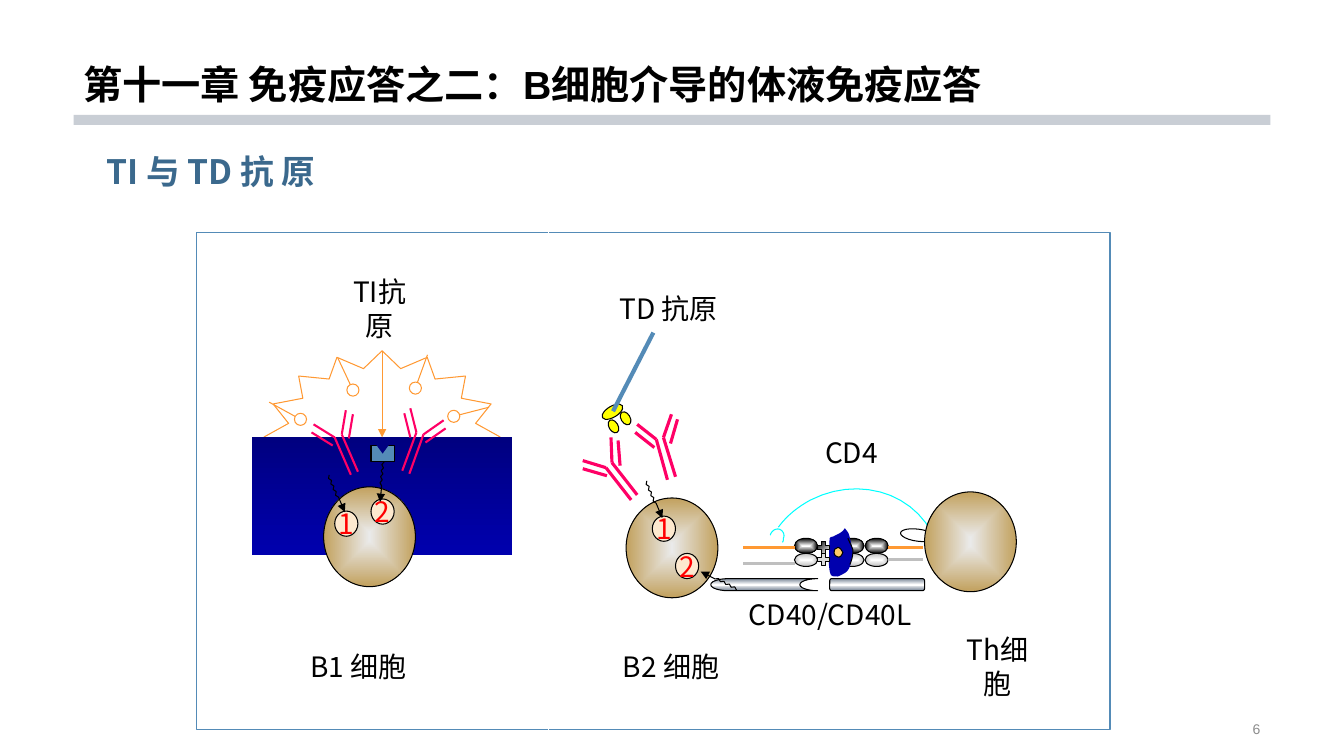
from math import cos, radians, sin
from typing import NamedTuple

from lxml.etree import SubElement
from pptx import Presentation
from pptx.dml.color import RGBColor
from pptx.enum.shapes import MSO_CONNECTOR, MSO_SHAPE
from pptx.enum.text import MSO_ANCHOR, MSO_AUTO_SIZE, PP_ALIGN
from pptx.oxml.ns import qn
from pptx.util import Pt

PX = 9144  # EMU per px, 100 px to the inch
CJK = "Noto Sans CJK SC"
COLORS = {
    "black": "000000", "white": "FFFFFF", "bar": "C9CED5", "number": "8C8C8C",
    "heading": "3B698D", "blue": "548BB7", "navy": "000080", "royal": "0000AE",
    "orange": "FF9933", "pink": "FF0066", "cyan": "00FFFF", "yellow": "FFFF00",
    "red": "FF0000", "cream": "FDE9CF", "peptide": "FFCC66", "silver": "BFBFBF",
    "plus": "DDDDDD", "cell": "EAEAEA", "cell_edge": "C2A15E", "steel": "778495",
}
Point = tuple[float, float]


class Gradient(NamedTuple):
    colors: tuple[str, ...]
    angle: int | None = None  # None: from the centre outwards


class Label(NamedTuple):
    text: str
    box: tuple[int, int, int, int]
    size: int = 20
    color: str = "black"
    font: str = CJK
    bold: bool = False
    align: PP_ALIGN = PP_ALIGN.CENTER
    anchor: MSO_ANCHOR = MSO_ANCHOR.MIDDLE
    wrap: bool = True
    margin: int = 11
    spacing: float = 1.0


class Chain(NamedTuple):
    """Half an antibody: heavy chain through its hinge, light chain beside it."""
    arm: Point
    hinge: Point
    stem: Point
    light_start: Point
    light_end: Point


STEEL_TUBE = Gradient(("steel", "white", "steel"), 90)
CELL = Gradient(("cell", "cell_edge"))
DOMAIN_ROWS = ((534, 15, Gradient(("white", "black"))),
               (549, 13, Gradient(("white", "silver"))))

LABELS = [
    Label("CD40/CD40L", (727, 587, 193, 44)),
    Label("B1 细胞", (296, 639, 119, 44)),
    Label("B2 细胞", (606, 639, 119, 44)),
    Label("Th细胞", (934, 639, 110, 44)),
    Label("TI抗原", (326, 284, 101, 44)),
    Label("TD 抗原", (602, 284, 122, 44)),
    Label("CD4", (806, 427, 77, 44)),
]
HEADINGS = [
    Label("第十一章 免疫应答之二：B细胞介导的体液免疫应答", (73, 0, 1187, 112), 28,
          font="Arial", bold=True, align=PP_ALIGN.LEFT,
          anchor=MSO_ANCHOR.BOTTOM, margin=10, spacing=0.9),
    Label("TI 与 TD 抗 原", (73, 139, 295, 61), 24, "heading", bold=True,
          align=PP_ALIGN.LEFT, wrap=False, margin=33),
    Label("6", (942, 712, 318, 23), 10, "number", "Arial",
          align=PP_ALIGN.RIGHT, margin=10),
]
THIN_CHAINS = [
    Chain((311, 421), (332, 434), (348, 471), (309, 429), (330, 442)),
    Chain((343, 407), (339, 431), (355, 468), (350, 411), (346, 435)),
    Chain((440, 417), (420, 431), (406, 470), (442, 425), (422, 439)),
    Chain((407, 405), (413, 429), (399, 467), (401, 410), (407, 434)),
]
THICK_CHAINS = [
    Chain((578, 457), (601, 464), (626, 496), (578, 465), (602, 472)),
    Chain((606, 434), (607, 459), (632, 491), (613, 437), (615, 462)),
    Chain((632, 421), (651, 436), (662, 476), (630, 429), (649, 444)),
    Chain((666, 411), (658, 434), (670, 473), (672, 416), (665, 440)),
]
FEELERS = [((267, 399), (298, 416)), ((335, 355), (350, 387)),
           ((424, 352), (412, 385)), ((485, 404), (450, 413))]
SIGNALS = [("1", 332, 507), ("2", 368, 495), ("1", 647, 512), ("2", 670, 549)]
SQUIGGLES = [((342, 508), -22.7), ((377, 498), 5.8), ((657, 514), -22.7), ((695, 567), 117.4)]
MHC_BLOB = [(838, 524), (840, 527), (842, 528), (843, 534), (844, 538), (846, 547),
            (846, 547), (843, 568), (841, 567), (831, 572), (829, 571), (826, 573),
            (824, 570), (822, 566), (822, 555), (822, 555), (823, 548), (822, 541),
            (823, 534), (824, 532), (825, 533), (827, 532), (830, 530), (835, 529),
            (838, 524)]
PEPTIDE = [(830, 552), (827, 551), (827, 548), (828, 545), (829, 544), (830, 544),
           (831, 543), (834, 544), (834, 545), (836, 548), (835, 551), (833, 554), (830, 552)]
CD4_ARC = [(924, 528), (902, 487), (849, 473), (804, 496), (791, 503), (780, 512), (772, 523)]
CD4_HOOK = [(764, 531), (765, 527), (769, 524), (773, 525), (776, 526), (779, 530),
            (777, 534), (777, 536), (777, 537), (776, 538)]
MHC_EDGE = [(841, 534), (843, 539), (845, 542), (846, 546), (846, 551), (845, 555), (843, 560)]

presentation = Presentation()
presentation.slide_width, presentation.slide_height = 1333 * PX, 750 * PX
slide = presentation.slides.add_slide(presentation.slide_layouts[6])
shapes = slide.shapes


def rgb(name: str) -> RGBColor:
    return RGBColor.from_string(COLORS[name])


def paint(shape, fill: str | Gradient | None, line: str | None, width: float = 0.75) -> None:
    shape.shadow.inherit = False
    if isinstance(fill, Gradient):
        shape.fill.background()
        empty = shape._element.spPr.find(qn("a:noFill"))
        gradient = empty.makeelement(qn("a:gradFill"), {"rotWithShape": "1"})
        stops = SubElement(gradient, qn("a:gsLst"))
        for index, name in enumerate(fill.colors):
            position = 100000 * index // (len(fill.colors) - 1)
            stop = SubElement(stops, qn("a:gs"), pos=str(position))
            SubElement(stop, qn("a:srgbClr"), val=COLORS[name])
        if fill.angle is None:
            centre = SubElement(gradient, qn("a:path"), {"path": "shape"})
            SubElement(centre, qn("a:fillToRect"), dict.fromkeys("ltrb", "50000"))
        else:
            SubElement(gradient, qn("a:lin"), ang=str(fill.angle * 60000), scaled="0")
        empty.getparent().replace(empty, gradient)
    elif fill:
        shape.fill.solid()
        shape.fill.fore_color.rgb = rgb(fill)
    else:
        shape.fill.background()
    if line:
        shape.line.color.rgb = rgb(line)
        shape.line.width = Pt(width)
    else:
        shape.line.fill.background()


def add_preset(kind, left, top, width, height, fill=None, line: str | None = "black",
               rotation: float = 0, adjust: float | None = None):
    shape = shapes.add_shape(kind, left * PX, top * PX, width * PX, height * PX)
    shape.rotation = rotation
    if adjust is not None:
        shape.adjustments[0] = adjust
    paint(shape, fill, line)
    return shape


def add_ellipse(left, top, width, height, fill=None, line="black", rotation: float = 0):
    return add_preset(MSO_SHAPE.OVAL, left, top, width, height, fill, line, rotation)


def add_line(start: Point, end: Point, color: str, width: float = 0.75):
    line = shapes.add_connector(MSO_CONNECTOR.STRAIGHT, *(v * PX for v in (*start, *end)))
    line.line.color.rgb = rgb(color)
    line.line.width = Pt(width)
    SubElement(line._element.spPr, qn("a:effectLst"))
    return line


def add_outline(points: list[Point], fill=None, line: str | None = "black", close=False):
    scaled = [(round(x * PX), round(y * PX)) for x, y in points]
    builder = shapes.build_freeform(*scaled[0], scale=1.0)
    builder.add_line_segments(scaled[1:], close=close)
    shape = builder.convert_to_shape()
    paint(shape, fill, line)
    return shape


def curve(knots: list[Point], steps: int = 12) -> list[Point]:
    """Points along a chain of cubic Bezier curves."""
    points = [knots[0]]
    for first in range(0, len(knots) - 1, 3):
        for step in range(1, steps + 1):
            t = step / steps
            weights = ((1 - t) ** 3, 3 * t * (1 - t) ** 2, 3 * t * t * (1 - t), t ** 3)
            pairs = list(zip(weights, knots[first:first + 4]))
            points.append((sum(w * x for w, (x, _) in pairs), sum(w * y for w, (_, y) in pairs)))
    return points


def add_arrowhead(shape, end: str) -> None:
    SubElement(shape.line._get_or_add_ln(), qn(f"a:{end}"), type="triangle")


def add_squiggle(tip: Point, angle: float) -> None:
    turn = radians(angle)
    local = [(0, 0)] + [(-2 * (i % 2), -16 - 3 * i) for i in range(9)]
    points = [(tip[0] + x * cos(turn) - y * sin(turn), tip[1] + x * sin(turn) + y * cos(turn))
              for x, y in local]
    add_arrowhead(add_outline(points), "headEnd")


def write(shape, label: Label) -> None:
    frame = shape.text_frame
    frame.text = label.text
    frame.word_wrap = label.wrap
    frame.auto_size = MSO_AUTO_SIZE.NONE
    frame.vertical_anchor = label.anchor
    frame.margin_left = frame.margin_right = label.margin * PX
    frame.margin_top = frame.margin_bottom = 5 * PX if label.margin else 0
    paragraph = frame.paragraphs[0]
    paragraph.alignment = label.align
    paragraph.line_spacing = label.spacing
    font = paragraph.runs[0].font
    font.size, font.bold, font.name = Pt(label.size), label.bold, label.font
    font.color.rgb = rgb(label.color)
    SubElement(font._element, qn("a:ea"), typeface=CJK)


def add_label(label: Label) -> None:
    write(shapes.add_textbox(*(v * PX for v in label.box)), label)


def add_domains(left: int) -> None:
    for top, height, fill in DOMAIN_ROWS:
        add_ellipse(left, top, 23, height, fill)


# Headings
add_preset(MSO_SHAPE.RECTANGLE, 73, 114, 1187, 10, "bar", None)
for heading in HEADINGS:
    add_label(heading)

# CD4 and CD40 bridge between the B2 and Th cells
add_ellipse(893, 525, 35, 12, rotation=7.5)
for knots in (CD4_ARC, CD4_HOOK):
    add_outline(curve(knots), line="cyan")
add_preset(MSO_SHAPE.FLOWCHART_STORED_DATA, 705, 574, 106, 12, STEEL_TUBE)
add_preset(MSO_SHAPE.ROUNDED_RECTANGLE, 823, 574, 94, 12, STEEL_TUBE, adjust=0.167)
for left, top in ((917, 488), (621, 494)):
    add_ellipse(left, top, 91, 99, CELL)

# MHC and T cell receptor
add_domains(834)
add_outline(curve(MHC_BLOB), "royal", None, close=True)
for left in (788, 858):
    add_domains(left)
add_outline(curve(MHC_EDGE))
for top, fill in ((537, Gradient(("black", "white"), 45)), (549, "plus")):
    add_preset(MSO_SHAPE.CROSS, 811, top, 12, 12, fill, adjust=0.333)
add_outline(curve(PEPTIDE), "peptide", close=True)
for start, end in ((881, 915), (737, 789)):
    add_line((start, 555 if start > 800 else 559), (end, 555 if start > 800 else 559), "silver", 2.25)
    add_line((start, 543), (end, 543), "orange", 2.25)

# TI antigen on the B1 membrane
add_preset(MSO_SHAPE.STAR_16_POINT, 262, 348, 234, 171, line="orange", adjust=0.404)
membrane = add_preset(MSO_SHAPE.RECTANGLE, 250, 434, 258, 117,
                      Gradient(("navy", "royal"), 90), None)
add_preset(MSO_SHAPE.RECTANGLE, 368, 442, 23, 16, "blue")
add_preset(MSO_SHAPE.ISOSCELES_TRIANGLE, 368, 434, 23, 16, "navy", None, rotation=180)
add_ellipse(321, 483, 91, 99, CELL)
for start, end in FEELERS:
    add_line(start, end, "orange")
    add_ellipse(end[0] - 6, end[1] - 6, 12, 12, "white", "orange")
antigen_arrow = add_line((379, 348), (379, 434), "orange")
antigen_arrow.end_connect(membrane, 0)
add_arrowhead(antigen_arrow, "tailEnd")

# Signals 1 and 2
for digit, left, top in SIGNALS:
    badge = add_ellipse(left, top, 23, 25, "cream")
    write(badge, Label(digit, (left, top, 23, 25), color="red", wrap=False, margin=0))
for tip, angle in SQUIGGLES:
    add_squiggle(tip, angle)

# Antibodies
for chains, width in ((THIN_CHAINS, 1.5), (THICK_CHAINS, 2.25)):
    for chain in chains:
        add_line(chain.arm, chain.hinge, "pink", width)
        add_line(chain.hinge, chain.stem, "pink", width)
        add_line(chain.light_start, chain.light_end, "pink", width)

# TD antigen
for box in ((604, 416, 9, 14), (616, 408, 9, 14), (596, 403, 23, 11)):
    add_ellipse(*box, "yellow", rotation=328.9)

# Labels and frame
for label in LABELS:
    add_label(label)
add_preset(MSO_SHAPE.RECTANGLE, 195, 231, 906, 493, line="blue")
add_line((648, 330), (608, 408), "blue", 3)
add_line((544, 230), (544, 724), "white")

presentation.save("out.pptx")
